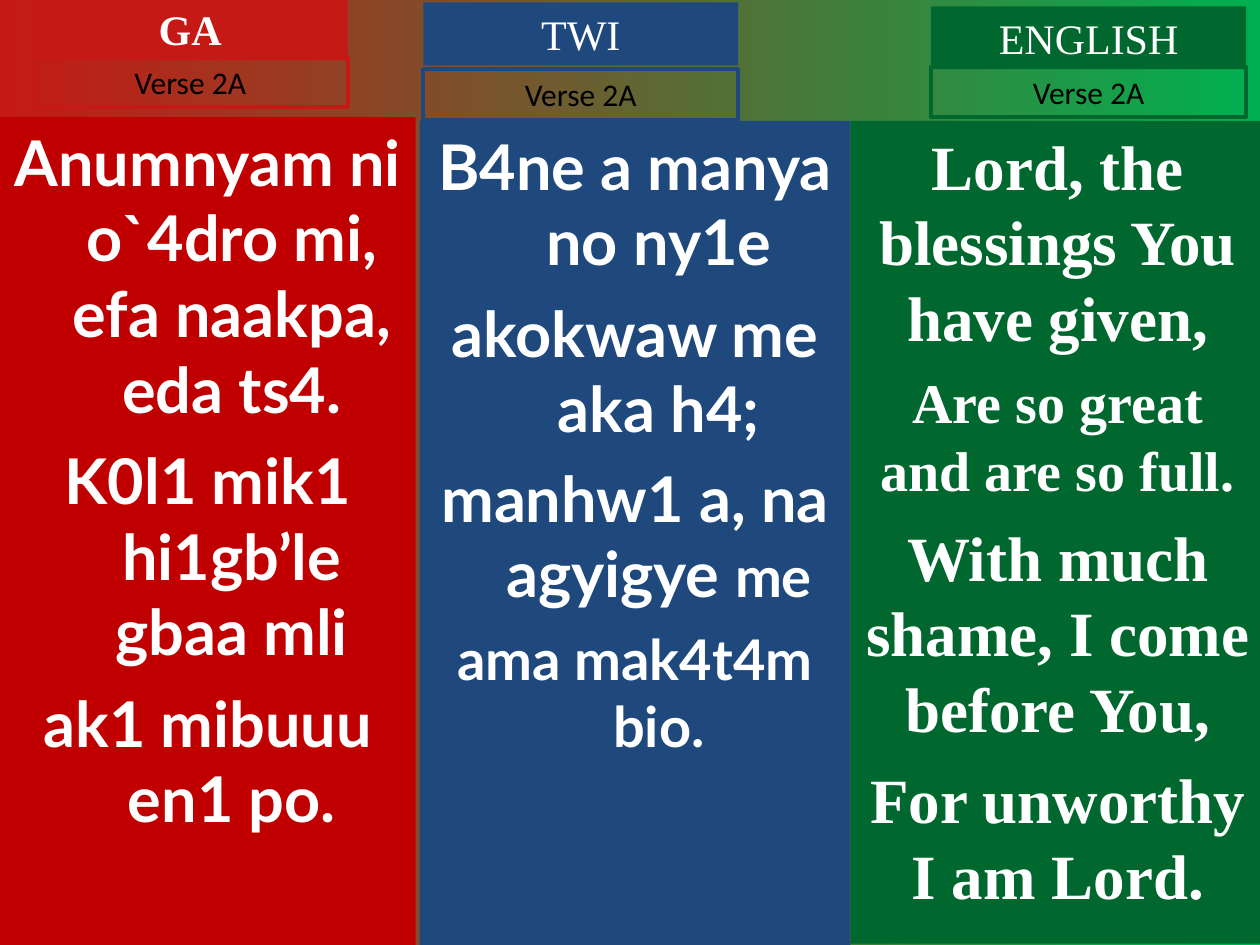
from pptx import Presentation
from pptx.dml.color import RGBColor
from pptx.enum.shapes import MSO_SHAPE
from pptx.enum.text import MSO_ANCHOR, MSO_AUTO_SIZE, PP_ALIGN
from pptx.util import Inches, Pt

RECTANGLE = MSO_SHAPE.RECTANGLE
TOP = MSO_ANCHOR.TOP
FIT_SHAPE = MSO_AUTO_SIZE.SHAPE_TO_FIT_TEXT
CENTER = PP_ALIGN.CENTER

BRIGHT_RED = RGBColor(0xC5, 0x19, 0x15)
DARK_RED = RGBColor(0xC0, 0x00, 0x00)
BLUE = RGBColor(0x1F, 0x49, 0x7D)
DARK_GREEN = RGBColor(0x00, 0x68, 0x2F)
BRIGHT_GREEN = RGBColor(0x00, 0xB0, 0x50)
WHITE = RGBColor(0xFF, 0xFF, 0xFF)
BLACK = RGBColor(0x00, 0x00, 0x00)

SERIF = "Times New Roman"
LABEL_WIDTH = 2.5
HANGING_INDENT = 0.38

# Verse paragraphs: space before, then (text, size) runs
GA_VERSE = [
    (0, [("Anumnyam ni o`4dro mi, efa naakpa, eda ts4.", 36)]),
    (9, [("K0l1 mik1 hi1gb’le gbaa mli", 36)]),
    (9, [("ak1 mibuuu en1 po.", 36)]),
]
TWI_VERSE = [
    (0, [("B4ne a manya no ny1e", 36)]),
    (9, [("akokwaw me aka h4;", 36)]),
    (8, [("manhw1 a, na agyigye ", 36), ("me", 32)]),
    (8, [("ama mak4t4m bio.", 32)]),
]
ENGLISH_VERSE = [
    (0, [("Lord, the blessings You have given,", 36)]),
    (8, [("Are so great and are so full.", 32)]),
    (9, [("With much shame, I come before You,", 36)]),
    (9, [("For unworthy I am Lord.", 36)]),
]


def set_background(slide):
    fill = slide.background.fill
    fill.gradient()
    fill.gradient_angle = 0
    for stop, color, position in zip(fill.gradient_stops, (BRIGHT_RED, BRIGHT_GREEN), (0, 1)):
        stop.color.rgb = color
        stop.position = position


def add_box(slide, left, top, width, height, fill=None, line=None):
    shape = slide.shapes.add_shape(
        RECTANGLE, Inches(left), Inches(top), Inches(width), Inches(height))
    shape.shadow.inherit = False
    if fill is None:
        shape.fill.background()
    else:
        shape.fill.solid()
        shape.fill.fore_color.rgb = fill
    if line is None:
        shape.line.fill.background()
    else:
        shape.line.color.rgb = line
        shape.line.width = Pt(2.25)
    shape.text_frame.word_wrap = True
    shape.text_frame.vertical_anchor = TOP
    return shape


def style_paragraph(paragraph, font_name, size, color, bold):
    paragraph.alignment = CENTER
    font = paragraph.font
    font.name = font_name
    font.size = Pt(size)
    font.color.rgb = color
    font.bold = bold


def add_label(shape, text, font_name, size, color, bold=False):
    shape.text_frame.auto_size = FIT_SHAPE
    paragraph = shape.text_frame.paragraphs[0]
    paragraph.text = text
    style_paragraph(paragraph, font_name, size, color, bold)


def add_header(slide, left, title_top, verse_top, title, color, bold=False):
    title_box = add_box(slide, left, title_top, LABEL_WIDTH, 0.5, fill=color)
    add_label(title_box, title, SERIF, 24, WHITE, bold)
    verse_box = add_box(slide, left, verse_top, LABEL_WIDTH, 0.4, line=color)
    add_label(verse_box, "Verse 2A", "Calibri", 18, BLACK)


def add_verse(slide, place, color, font_name, verse, hanging):
    frame = add_box(slide, *place, fill=color).text_frame
    for index, (space_before, runs) in enumerate(verse):
        paragraph = frame.add_paragraph() if index else frame.paragraphs[0]
        paragraph.space_before = Pt(space_before)
        if hanging:
            properties = paragraph._p.get_or_add_pPr()
            properties.set("marL", str(Inches(HANGING_INDENT)))
            properties.set("indent", str(-Inches(HANGING_INDENT)))
        main_size = runs[0][1]
        style_paragraph(paragraph, font_name, main_size, WHITE, True)
        for text, size in runs:
            run = paragraph.add_run()
            run.text = text
            if size != main_size:
                run.font.size = Pt(size)


def main():
    presentation = Presentation()
    presentation.slide_width = Inches(10)
    presentation.slide_height = Inches(7.5)
    slide = presentation.slides.add_slide(presentation.slide_layouts[6])
    set_background(slide)

    # Verse columns
    add_verse(slide, (0, 0.93, 3.3, 6.57), DARK_RED, "Lato", GA_VERSE, True)
    add_verse(slide, (3.33, 0.96, 3.42, 6.54), BLUE, "Lato", TWI_VERSE, True)
    add_verse(slide, (6.75, 0.96, 3.29, 6.53), DARK_GREEN, SERIF, ENGLISH_VERSE, False)

    # Language headers
    add_header(slide, 0.26, -0.02, 0.45, "GA", BRIGHT_RED, bold=True)
    add_header(slide, 3.36, 0.02, 0.55, "TWI", BLUE)
    add_header(slide, 7.39, 0.05, 0.53, "ENGLISH", DARK_GREEN)

    presentation.save("out.pptx")


if __name__ == "__main__":
    main()
